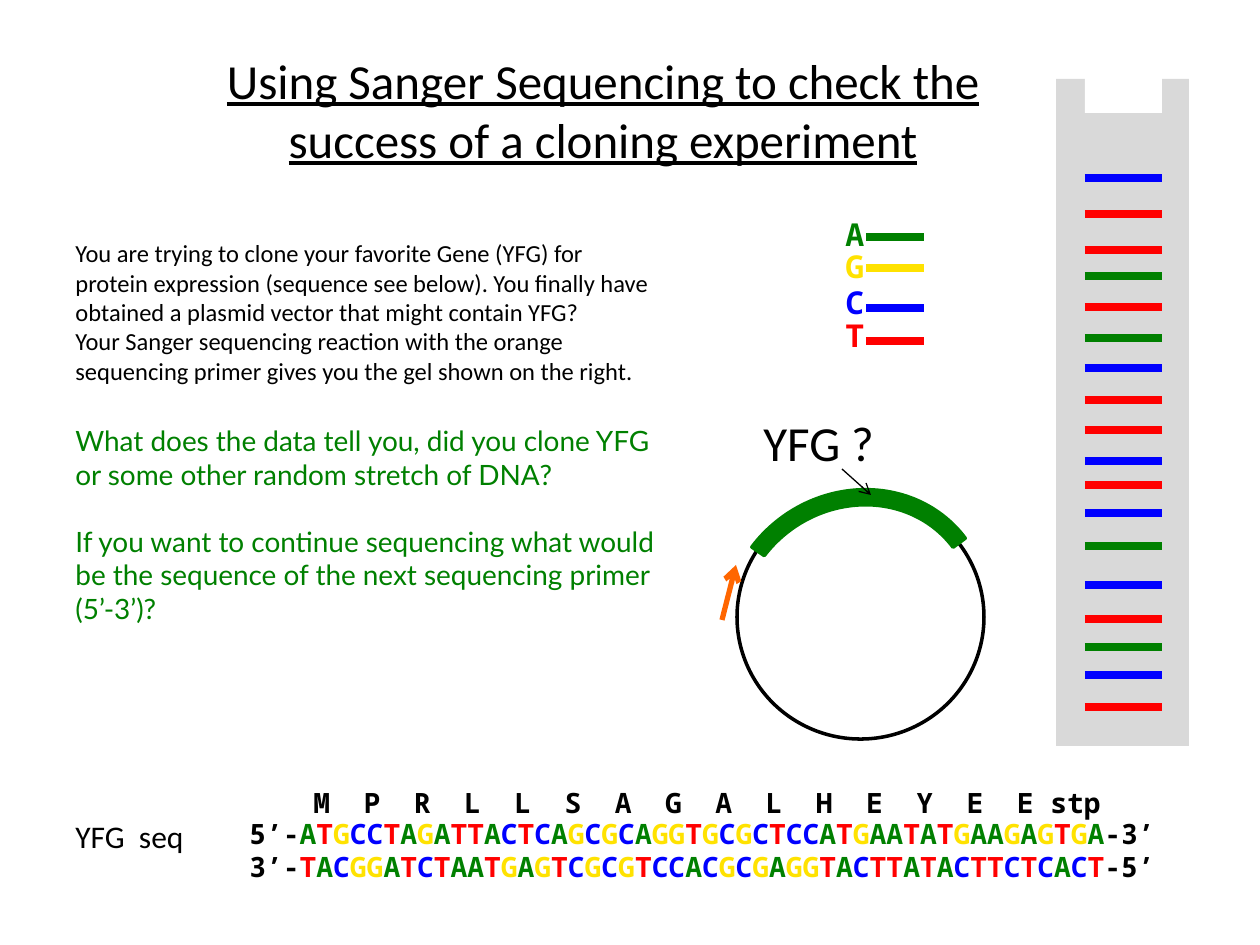
"""Build a slide on checking a cloning experiment by Sanger sequencing."""
from itertools import groupby

from lxml.etree import SubElement
from pptx import Presentation
from pptx.dml.color import RGBColor
from pptx.enum.shapes import MSO_CONNECTOR, MSO_SHAPE
from pptx.enum.text import MSO_AUTO_SIZE, PP_ALIGN
from pptx.oxml.ns import qn
from pptx.util import Emu, Pt

SCALE = 914400 / 126
COLORS = {
    "A": "008000", "G": "FFE200", "C": "0000FF", "T": "FF0000",
    "ink": "000000", "primer": "FF6600", "gel": "D9D9D9", "well": "FFFFFF",
}
BODY = {"name": "Calibri", "size": Pt(14)}
LABEL = {"name": "Calibri", "size": Pt(18)}
HEADING = {"name": "Calibri", "size": Pt(28)}
TITLE = {**HEADING, "underline": True}
QUESTION = {"name": "Lato", "size": Pt(16)}
SEQUENCE = {"name": "Noto Sans Mono", "size": Pt(16), "bold": True}
BASE = {**SEQUENCE, "size": Pt(18)}

deck = Presentation()
deck.slide_width, deck.slide_height = Emu(9144000), Emu(6858000)
slide = deck.slides.add_slide(deck.slide_layouts[6])


def write(box, paragraphs, wrap=False):
    """Add paragraphs, each a list of (text, color, font) runs plus a format dict."""
    frame = slide.shapes.add_textbox(*(Emu(round(v * SCALE)) for v in box)).text_frame
    frame.word_wrap = wrap
    frame.auto_size = MSO_AUTO_SIZE.SHAPE_TO_FIT_TEXT
    for index, (runs, layout) in enumerate(paragraphs):
        paragraph = frame.add_paragraph() if index else frame.paragraphs[0]
        for key, value in layout.items():
            setattr(paragraph, key, value)
        for text, color, font in runs:
            run = paragraph.add_run()
            run.text = text
            run.font.color.rgb = RGBColor.from_string(COLORS[color])
            for key, value in font.items():
                setattr(run.font, key, value)


def draw_line(ends, color, width, arrow=False):
    """Add a straight line between two points."""
    line = slide.shapes.add_connector(
        MSO_CONNECTOR.STRAIGHT, *(Emu(round(v * SCALE)) for v in ends))
    line.line.color.rgb = RGBColor.from_string(COLORS[color])
    line.line.width = Pt(width)
    properties = line.element.spPr
    if arrow:
        SubElement(properties.find(qn("a:ln")), qn("a:tailEnd"), type="arrow")
    SubElement(properties, qn("a:effectLst"))


centered = {"alignment": PP_ALIGN.CENTER}
write((209, 44, 788, 131), [
    ([("Using Sanger Sequencing to check the", "ink", TITLE)], centered),
    ([("success of a cloning experiment", "ink", TITLE)], centered),
])

for kind, box, fill, outline, rotation, adjustments in (
    (MSO_SHAPE.OVAL, (737, 495, 247, 244), None, "ink", 0, ()),
    (MSO_SHAPE.BLOCK_ARC, (721, 493, 271, 252), "A", "A", 324.2,
     (150.18, 215.53, 0.06)),
    (MSO_SHAPE.RECTANGLE, (1056, 79, 133, 667), "gel", None, 0, ()),
    (MSO_SHAPE.RECTANGLE, (1085, 72, 77, 41), "well", None, 0, ()),
):
    part = slide.shapes.add_shape(kind, *(Emu(round(v * SCALE)) for v in box))
    part.shadow.inherit = False
    part.rotation = rotation
    for index, value in enumerate(adjustments):
        part.adjustments[index] = value
    if fill:
        part.fill.solid()
        part.fill.fore_color.rgb = RGBColor.from_string(COLORS[fill])
    else:
        part.fill.background()
    if outline:
        part.line.color.rgb = RGBColor.from_string(COLORS[outline])
        part.line.width = Pt(2)
    else:
        part.line.fill.background()

write((751, 406, 137, 72), [([("YFG ?", "ink", HEADING)], {})])
draw_line((842, 469, 871, 495), "ink", 0.75, arrow=True)
draw_line((722, 620, 736, 565), "primer", 3, arrow=True)

for base, label_top, dash_y in (
    ("A", 209, 237), ("G", 241, 268), ("C", 277, 308), ("T", 310, 341),
):
    write((833, label_top, 45, 50), [([(base, base, BASE)], {})])
    draw_line((866, dash_y, 924, dash_y), base, 4.5)

band_heights = (178, 214, 250, 276, 307, 338, 368, 400, 430,
                461, 485, 513, 546, 585, 619, 647, 675, 707)
for base, y in zip("CTTATACTTCTCACTACT", band_heights):
    draw_line((1085, y, 1162, y), base, 4.5)

write((63, 232, 609, 403), [
    ([("You are trying to clone your favorite Gene (YFG) for protein expression "
       "(sequence see below). You finally have obtained a plasmid vector that "
       "might contain YFG?", "ink", BODY)], {}),
    ([("Your Sanger sequencing reaction with the orange sequencing primer gives "
       "you the gel shown on the right.", "ink", BODY)], {}),
    ([("What does the data tell you, did you clone YFG or some other random "
       "stretch of DNA?", "A", QUESTION)], {"space_before": Pt(22)}),
    ([("If you want to continue sequencing what would be the sequence of the "
       "next sequencing primer (5’-3’)?", "A", QUESTION)],
     {"space_before": Pt(19)}),
], wrap=True)

coding = "ATGCCTAGATTACTCAGCGCAGGTGCGCTCCATGAATATGAAGAGTGA"
template = coding.translate(str.maketrans("ATGC", "TACG"))
strands = []
for start, bases, end in (("5’-", coding, "-3’"), ("3’-", template, "-5’")):
    stretches = [("".join(same), base, SEQUENCE) for base, same in groupby(bases)]
    strands.append(
        ([(start, "ink", SEQUENCE), *stretches, (end, "ink", SEQUENCE)], {}))
write((237, 810, 941, 81), strands)
write((63, 811, 135, 50), [([("YFG  seq", "ink", LABEL)], {})])
residues = "  ".join("MPRLLSAGALHEYEE") + " stp"
write((301, 779, 824, 47), [([(residues, "ink", SEQUENCE)], {})])

deck.save("out.pptx")
